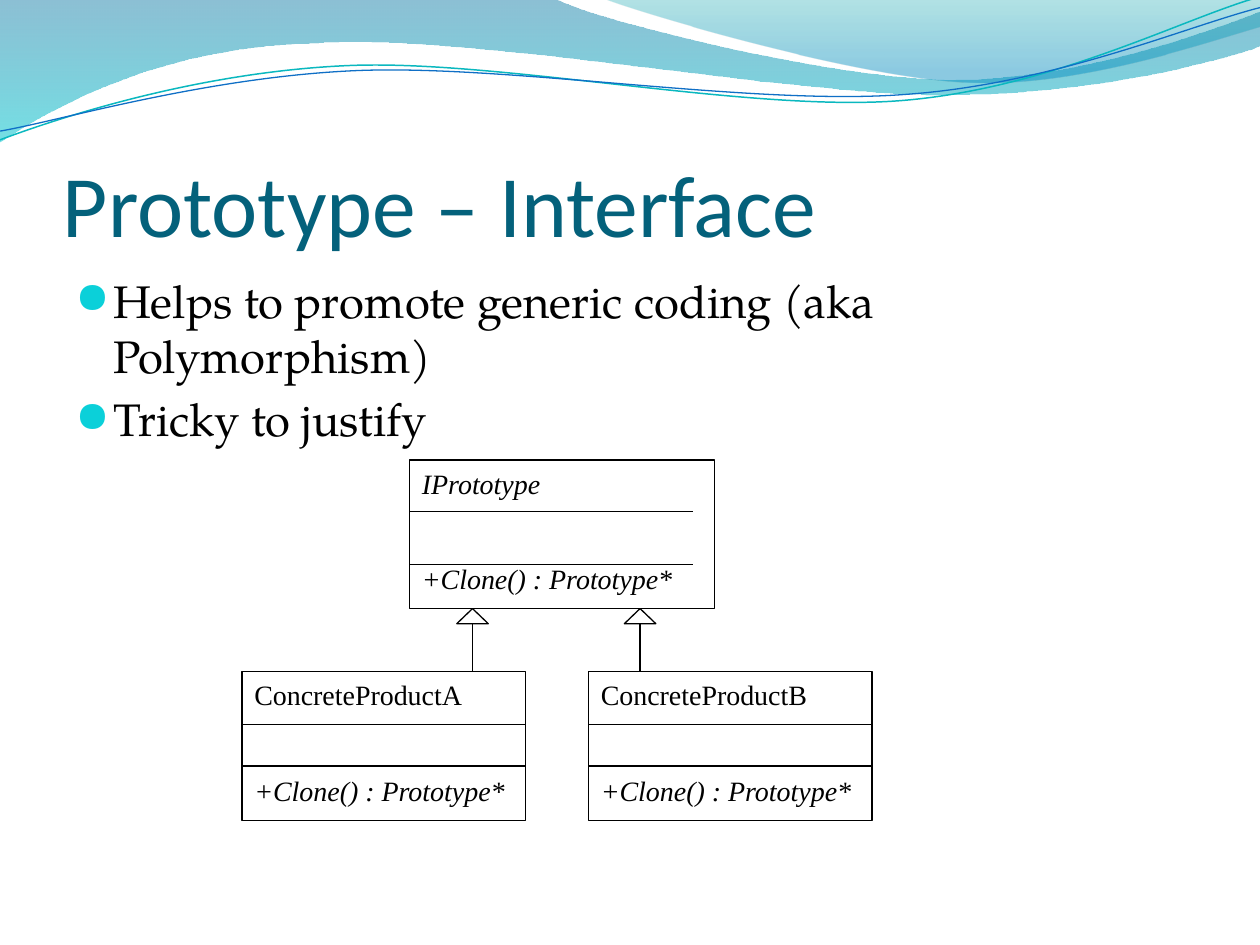
import math

from lxml import etree
from pptx import Presentation
from pptx.dml.color import RGBColor
from pptx.enum.shapes import MSO_CONNECTOR, MSO_SHAPE
from pptx.enum.text import MSO_ANCHOR, PP_ALIGN
from pptx.oxml.ns import qn
from pptx.util import Inches, Pt

STRAIGHT = MSO_CONNECTOR.STRAIGHT
RECTANGLE = MSO_SHAPE.RECTANGLE
TRIANGLE = MSO_SHAPE.ISOSCELES_TRIANGLE
TOP, BOTTOM = MSO_ANCHOR.TOP, MSO_ANCHOR.BOTTOM
LEFT = PP_ALIGN.LEFT

BLACK, WHITE = "000000", "FFFFFF"
LINE_TILT = -2.7
METHOD = "+Clone() : Prototype*"

# Wave outlines in inches: two numbers are a line, six are a Bezier curve
BACK_WAVE = [
    (0, 0), (4.4, -0.01), (4.76, 0.17, 6.64, 0.63, 7.58, 0.63),
    (8.53, 0.63, 9.58, 0.26, 10, 0.09), (10.01, 0.36),
    (9.83, 0.44, 8.7, 0.76, 7.46, 0.75), (6.22, 0.75, 3.82, 0.28, 2.57, 0.34),
    (1.29, 0.36, 0.46, 0.83, -0.01, 1.13),
]
FRONT_WAVE = [
    (4.79, -0.01), (5.09, 0.11, 6.82, 0.62, 7.69, 0.65),
    (8.56, 0.69, 9.61, 0.32, 10, 0.21), (10, 0),
]
TEAL_LINE = [
    (0, 1.11), (0.48, 0.93, 1.58, 0.57, 2.77, 0.52),
    (3.95, 0.47, 5.93, 0.89, 7.13, 0.8), (8.33, 0.71, 9.38, 0.15, 9.98, -0.02),
]
BLUE_LINE = [
    (0, 1.04), (0.47, 0.96, 1.64, 0.61, 2.83, 0.56),
    (4.03, 0.51, 5.97, 0.84, 7.17, 0.75), (8.36, 0.67, 9.41, 0.21, 10, 0.06),
]


def color(hex_code):
    return RGBColor.from_string(hex_code)


def set_line(shape, hex_code=BLACK, width=0.75):
    shape.line.color.rgb = color(hex_code)
    shape.line.width = Pt(width)


def add_outline(page, outline, close):
    """Draw all points as lines, then join each curve's three into one."""
    points = [
        (Inches(segment[i]), Inches(segment[i + 1]))
        for segment in outline for i in range(0, len(segment), 2)
    ]
    builder = page.shapes.build_freeform(*points[0])
    builder.add_line_segments(points[1:], close=close)
    shape = builder.convert_to_shape()
    shape.shadow.inherit = False
    lines = iter(list(shape._element.iter(qn("a:lnTo"))))
    for segment in outline[1:]:
        line = next(lines)
        if len(segment) == 6:
            curve = etree.Element(qn("a:cubicBezTo"))
            line.addprevious(curve)
            for part in (line, next(lines), next(lines)):
                curve.append(part[0])
                part.getparent().remove(part)
    return shape


def add_wave(page, outline, stops):
    """Add a filled wave; stops hold position, colour and opacity in percent."""
    wave = add_outline(page, outline, close=True)
    wave.line.fill.background()
    wave.fill.gradient()
    wave.fill.gradient_angle = 270
    stop_list = next(wave._element.iter(qn("a:gsLst")))
    for stop in list(stop_list):
        stop_list.remove(stop)
    for position, hex_code, opacity in stops:
        stop = etree.SubElement(stop_list, qn("a:gs"), pos=str(position * 1000))
        tint = etree.SubElement(stop, qn("a:srgbClr"), val=hex_code)
        etree.SubElement(tint, qn("a:alpha"), val=str(opacity * 1000))


def level(segment, center_x, center_y):
    """Turn the points of a segment back by the tilt of the wave lines."""
    cosine, sine = math.cos(math.radians(LINE_TILT)), math.sin(math.radians(LINE_TILT))
    turned = []
    for x, y in zip(segment[::2], segment[1::2]):
        dx, dy = x - center_x, y - center_y
        turned += [center_x + dx * cosine + dy * sine, center_y - dx * sine + dy * cosine]
    return turned


def add_wave_line(page, outline, center_y, hex_code, width):
    flat = [level(segment, 4.99, center_y) for segment in outline]
    curve = add_outline(page, flat, close=False)
    curve.rotation = LINE_TILT
    curve.fill.background()
    set_line(curve, hex_code, width)


def add_line(page, x1, y1, x2, y2):
    line = page.shapes.add_connector(STRAIGHT, *map(Inches, (x1, y1, x2, y2)))
    set_line(line)
    etree.SubElement(line._element.spPr, qn("a:effectLst"))


def add_shape(page, kind, *place):
    shape = page.shapes.add_shape(kind, *map(Inches, place))
    shape.shadow.inherit = False
    shape.fill.solid()
    shape.fill.fore_color.rgb = color(WHITE)
    set_line(shape)
    return shape


def add_bullet(para, hex_code):
    props = para._p.get_or_add_pPr()
    props.set("marL", str(Inches(0.3)))
    props.set("indent", str(Inches(-0.3)))
    tint = etree.SubElement(props, qn("a:buClr"))
    etree.SubElement(tint, qn("a:srgbClr"), val=hex_code)
    etree.SubElement(props, qn("a:buSzPct"), val="95000")
    etree.SubElement(props, qn("a:buFont"), typeface="OpenSymbol")
    etree.SubElement(props, qn("a:buChar"), char="●")


def write(box, text, size, font, hex_code=BLACK, italic=False, before=0,
          bullet=None, first=False):
    frame = box.text_frame
    para = frame.paragraphs[0] if first else frame.add_paragraph()
    para.alignment = LEFT
    para.space_before = Pt(before)
    if bullet:
        add_bullet(para, bullet)
    span = para.add_run()
    span.text = text
    span.font.size = Pt(size)
    span.font.name = font
    span.font.italic = italic
    span.font.color.rgb = color(hex_code)


def add_text_box(page, *place, anchor=TOP):
    box = page.shapes.add_textbox(*map(Inches, place))
    box.text_frame.word_wrap = True
    box.text_frame.vertical_anchor = anchor
    return box


def add_class(page, name, left, top, width, dividers, abstract=False):
    """Add a class box with its name, method and two dividers."""
    box = add_shape(page, RECTANGLE, left, top, width, 1.18)
    box.text_frame.word_wrap = True
    box.text_frame.vertical_anchor = TOP
    write(box, name, 16, "Times New Roman", italic=abstract, first=True)
    write(box, METHOD, 16, "Times New Roman", italic=True, before=35.5)
    for offset in dividers:
        add_line(page, left, top + offset, left + 2.25, top + offset)


def add_inheritance(page, x):
    add_line(page, x, 5.33, x, 4.83)
    add_shape(page, TRIANGLE, x - 0.125, 4.83, 0.25, 0.12)


def main():
    deck = Presentation()
    deck.slide_width, deck.slide_height = Inches(10), Inches(7.5)
    page = deck.slides.add_slide(deck.slide_layouts[6])

    # Wave decoration
    add_wave(page, BACK_WAVE, [(0, "0074A1", 45), (100, "00C6CF", 55)])
    add_wave(page, FRONT_WAVE, [(0, "00A1A9", 30), (80, "008BBF", 45)])
    add_wave_line(page, TEAL_LINE, 0.58, "0AB8BF", 0.85)
    add_wave_line(page, BLUE_LINE, 0.59, "0F6FC6", 0.75)

    # Title
    title = add_text_box(page, 0.5, 0.77, 9, 1.25, anchor=BOTTOM)
    title.text_frame.margin_left = title.text_frame.margin_right = 0
    title.text_frame.margin_bottom = 0
    write(title, "Prototype – Interface", 50, "Calibri", "04617B", first=True)

    # Class diagram
    add_class(page, "IPrototype", 3.25, 3.65, 2.42, (0.41, 0.83), abstract=True)
    for name, left in (("ConcreteProductA", 1.92), ("ConcreteProductB", 4.67)):
        add_class(page, name, left, 5.33, 2.25, (0.42, 0.75))
    for x in (3.75, 5.08):
        add_inheritance(page, x)

    # Bullet points
    body = add_text_box(page, 0.5, 2.12, 9, 1.16)
    points = ("Helps to promote generic coding (aka Polymorphism)", "Tricky to justify")
    for index, point in enumerate(points):
        write(body, point, 26, "TeX Gyre Pagella", before=5.2, bullet="0BD0D9",
              first=index == 0)

    deck.save("out.pptx")


if __name__ == "__main__":
    main()
